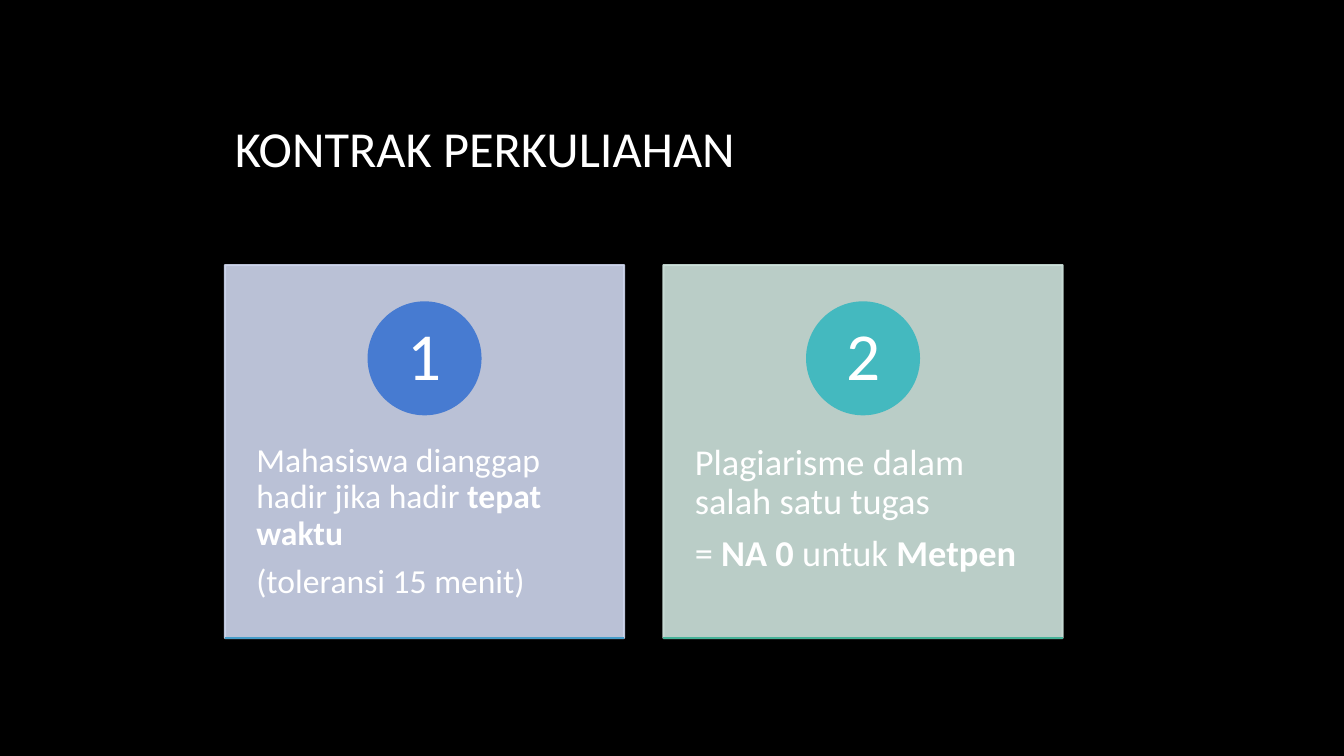
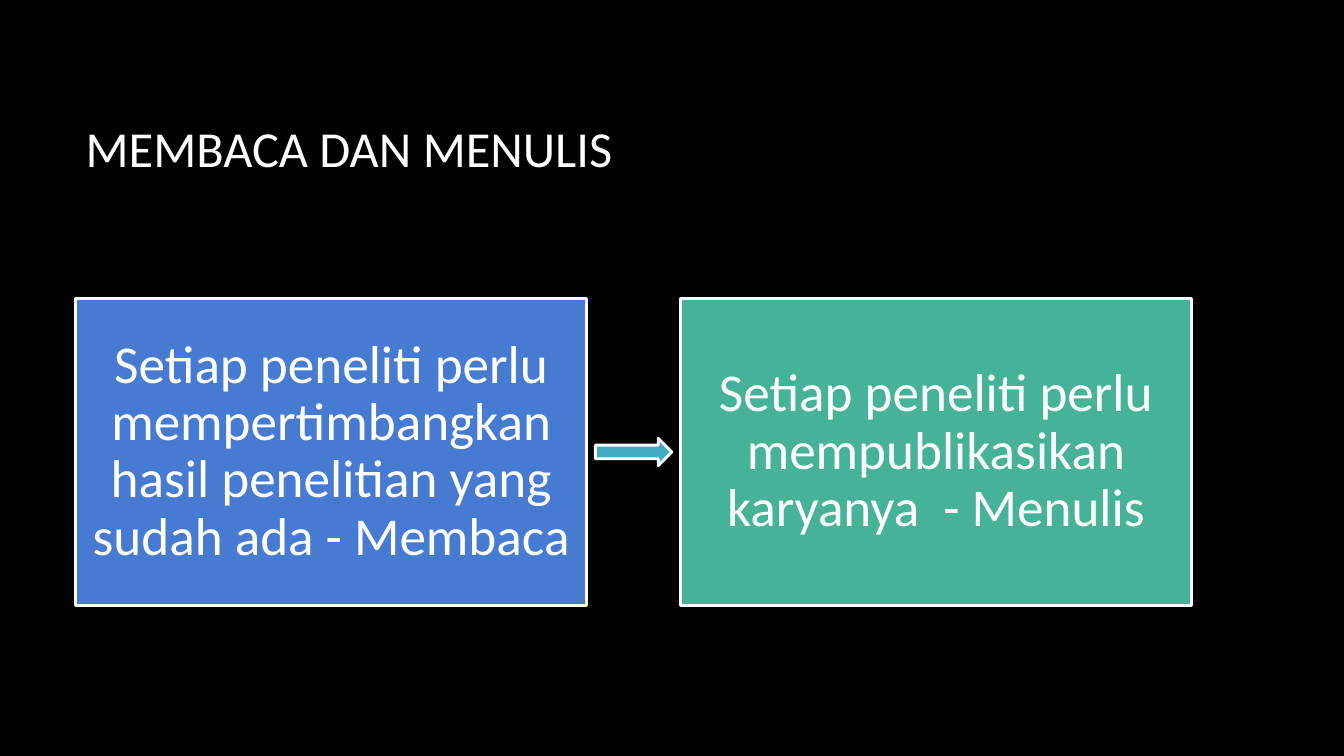
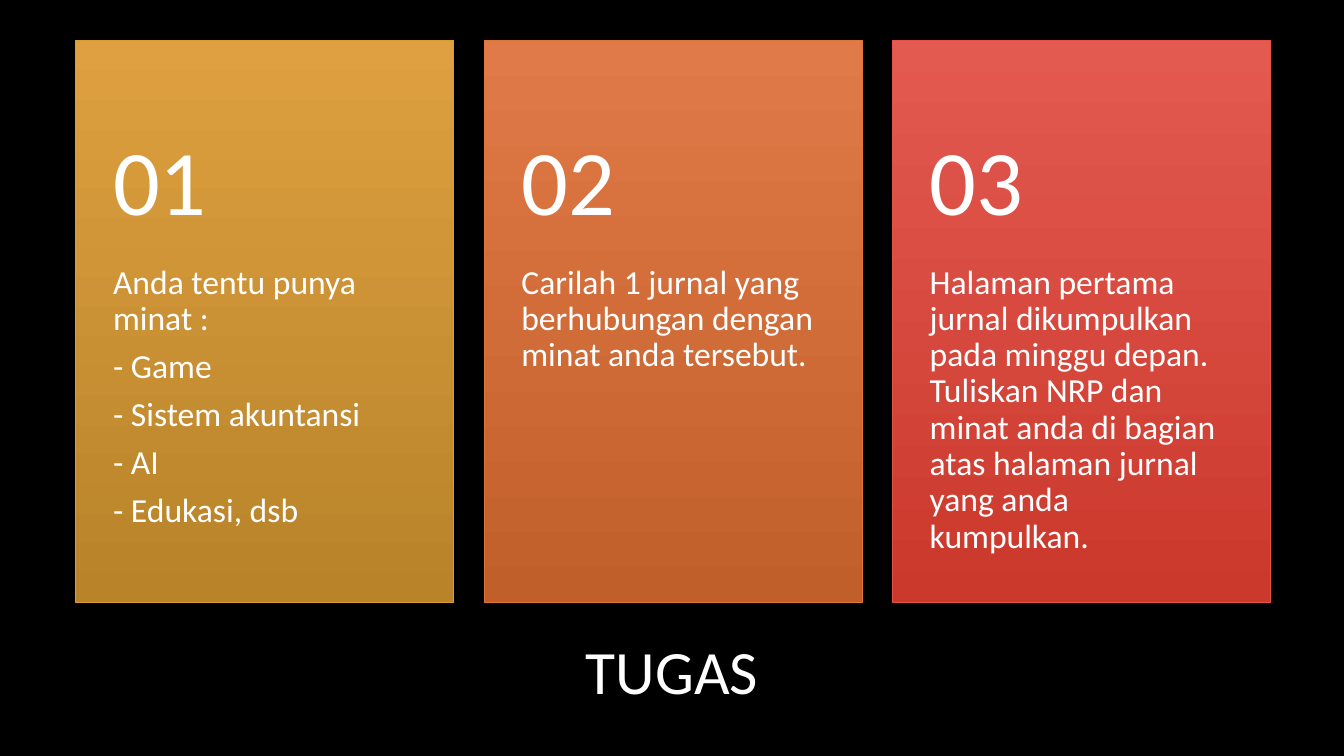
"""Build three course slides: class rules, reading and writing, and the assignment."""
from dataclasses import dataclass

from lxml import etree
from pptx import Presentation
from pptx import slide as s
from pptx import util as u
from pptx.dml import color, fill as f
from pptx.enum import shapes, text
from pptx.oxml import ns
from pptx.shapes import autoshape

FONT = "Calibri"
WHITE = "FFFFFF"
BLACK = "000000"
BLUE = "477BD1"
GREEN = "46B298"
LEFT = 1.91
FULL_WIDTH = 28.14
CENTER = text.PP_ALIGN.CENTER
START = text.PP_ALIGN.LEFT
MIDDLE = text.MSO_ANCHOR.MIDDLE
TOP = text.MSO_ANCHOR.TOP


@dataclass(frozen=True)
class Area:
    left: float
    top: float
    width: float
    height: float

    def lengths(self) -> tuple[u.Cm, ...]:
        return tuple(u.Cm(n) for n in (self.left, self.top, self.width, self.height))


@dataclass(frozen=True)
class Style:
    size: float
    align: text.PP_ALIGN = START
    anchor: text.MSO_ANCHOR = MIDDLE
    insets: tuple[float, float, float, float] = (0.25, 0.13, 0.25, 0.13)
    line_spacing: float = 0.9
    gap: float = 0.35


@dataclass(frozen=True)
class Rule:
    number: str
    lines: tuple[str, ...]
    size: float
    panel: str
    badge: str
    edge: str


@dataclass(frozen=True)
class Step:
    caption: str
    colour: str


@dataclass(frozen=True)
class Task:
    number: str
    lines: tuple[str, ...]
    light: str
    dark: str
    edge: str


RULES = (
    Rule("1", ("Mahasiswa dianggap hadir jika hadir *tepat waktu*", "(toleransi 15 menit)"),
         24, "CFD7EE", BLUE, "459CC8"),
    Rule("2", ("Plagiarisme dalam salah satu tugas", "= *NA 0 *untuk *Metpen*"),
         26, "CFE4DD", "44B9BF", GREEN),
)
STEPS = (
    Step("Setiap peneliti perlu mempertimbangkan hasil penelitian yang sudah ada - Membaca", BLUE),
    Step("Setiap peneliti perlu mempublikasikan karyanya  - Menulis", GREEN),
)
TASKS = (
    Task("01", ("Anda tentu punya minat :", "- Game", "- Sistem akuntansi", "- AI",
                "- Edukasi, dsb"), "DEA040", "B88329", "DD9D31"),
    Task("02", ("Carilah 1 jurnal yang berhubungan dengan minat anda tersebut.",),
         "E07A48", "C15F2A", "E0753C"),
    Task("03", ("Halaman pertama jurnal dikumpulkan pada minggu depan. Tuliskan NRP dan minat "
                "anda di bagian atas halaman jurnal yang anda kumpulkan.",),
         "E35A51", "CB382C", "E25247"),
)


def rgb(value: str) -> color.RGBColor:
    return color.RGBColor.from_string(value)


def paint(target: f.FillFormat, value: str) -> None:
    target.solid()
    target.fore_color.rgb = rgb(value)


def write(box: autoshape.Shape, lines: tuple[str, ...], style: Style) -> None:
    frame = box.text_frame
    frame.word_wrap = True
    frame.vertical_anchor = style.anchor
    (frame.margin_left, frame.margin_top,
     frame.margin_right, frame.margin_bottom) = (u.Cm(n) for n in style.insets)
    for index, line in enumerate(lines):
        para = frame.add_paragraph() if index else frame.paragraphs[0]
        para.alignment = style.align
        para.line_spacing = style.line_spacing
        para.space_after = u.Pt(style.size * style.gap)
        para.font.name = FONT
        para.font.size = u.Pt(style.size)
        para.font.color.rgb = rgb(WHITE)
        for position, part in enumerate(line.split("*")):
            if part:
                span = para.add_run()
                span.text = part
                if position % 2:
                    span.font.bold = True


def add_text(page: s.Slide, area: Area, lines: tuple[str, ...], style: Style) -> None:
    write(page.shapes.add_textbox(*area.lengths()), lines, style)


def add_block(page: s.Slide, kind: shapes.MSO_SHAPE, area: Area, colour: str,
              edge: str, weight: float) -> autoshape.Shape:
    block = page.shapes.add_shape(kind, *area.lengths())
    block.shadow.inherit = False
    paint(block.fill, colour)
    paint(block.line.fill, edge)
    block.line.width = u.Pt(weight)
    return block


def set_opacity(block: autoshape.Shape, percent: int) -> None:
    for node in block.element.spPr.iter(ns.qn("a:srgbClr")):
        etree.SubElement(node, ns.qn("a:alpha")).set("val", str(percent * 1000))


def add_rule_line(page: s.Slide, left: float, right: float, top: float, colour: str) -> None:
    line = page.shapes.add_connector(shapes.MSO_CONNECTOR.STRAIGHT,
                                     u.Cm(left), u.Cm(top), u.Cm(right), u.Cm(top))
    paint(line.line.fill, colour)
    line.line.width = u.Pt(1.5)
    etree.SubElement(line.element.spPr, ns.qn("a:effectLst"))


def add_page(deck: Presentation, title: str, area: Area, size: float = 36,
             align: text.PP_ALIGN = START) -> s.Slide:
    page = deck.slides.add_slide(deck.slide_layouts[6])
    paint(page.background.fill, BLACK)
    add_text(page, area, (title,), Style(size, align, line_spacing=1, gap=0))
    return page


def draw_rules(deck: Presentation) -> None:
    left, top, width, height, pitch, badge = 5.67, 6.68, 10.06, 9.4, 11.05, 2.82
    page = add_page(deck, "KONTRAK PERKULIAHAN", Area(left, 1.7, pitch + width, 4.04))
    for index, rule in enumerate(RULES):
        x = left + index * pitch
        panel = add_block(page, shapes.MSO_SHAPE.RECTANGLE, Area(x, top, width, height),
                          rule.panel, rule.panel, 1.5)
        set_opacity(panel, 90)
        add_text(page, Area(x, 10.27, width, 5.64), rule.lines,
                 Style(rule.size, anchor=TOP, insets=(0.79, 0.91, 0.79, 0.91)))
        circle = add_block(page, shapes.MSO_SHAPE.OVAL,
                           Area(x + (width - badge) / 2, 7.62, badge, badge),
                           rule.badge, rule.badge, 1.5)
        write(circle, (rule.number,), Style(48, CENTER, insets=(0, 0, 0, 0), gap=0))
        add_rule_line(page, x, x + width, top + height, rule.edge)


def draw_steps(deck: Presentation) -> None:
    top, width, height, pitch = 7.53, 12.88, 7.72, 15.24
    arrow_width, arrow_height = 1.93, 0.69
    page = add_page(deck, "MEMBACA DAN MENULIS", Area(LEFT, 1.7, FULL_WIDTH, 4.04))
    for index, step in enumerate(STEPS):
        box = add_block(page, shapes.MSO_SHAPE.RECTANGLE,
                        Area(LEFT + index * pitch, top, width, height), step.colour, WHITE, 2)
        write(box, (step.caption,), Style(38, CENTER, insets=(0.38, 0.43, 0.38, 0.43)))
    add_block(page, shapes.MSO_SHAPE.RIGHT_ARROW,
              Area(LEFT + (width + pitch - arrow_width) / 2, top + (height - arrow_height) / 2,
                   arrow_width, arrow_height), "44ABC4", WHITE, 2)


def draw_tasks(deck: Presentation) -> None:
    top, width, height, pitch = 1.02, 9.53, 14.16, 10.29
    page = add_page(deck, "TUGAS", Area(2.87, 15.19, FULL_WIDTH, 3.38), 44, CENTER)
    for index, task in enumerate(TASKS):
        x = LEFT + index * pitch
        card = add_block(page, shapes.MSO_SHAPE.RECTANGLE, Area(x, top, width, height),
                         task.light, task.edge, 0.75)
        card.fill.gradient()
        card.fill.gradient_angle = 270
        for stop, shade in zip(card.fill.gradient_stops, (task.light, task.dark)):
            stop.color.rgb = rgb(shade)
        add_text(page, Area(x, 6.68, width, 8.48), task.lines,
                 Style(24, anchor=TOP, insets=(0.94, 0, 0.94, 0.91)))
        add_text(page, Area(x, 2.39, width, 4.57), (task.number,),
                 Style(66, insets=(0.94, 0.46, 0.94, 0.46)))


def main() -> None:
    deck = Presentation()
    deck.slide_width, deck.slide_height = u.Cm(33.87), u.Cm(19.05)
    for draw in (draw_rules, draw_steps, draw_tasks):
        draw(deck)
    deck.save("out.pptx")


if __name__ == "__main__":
    main()
